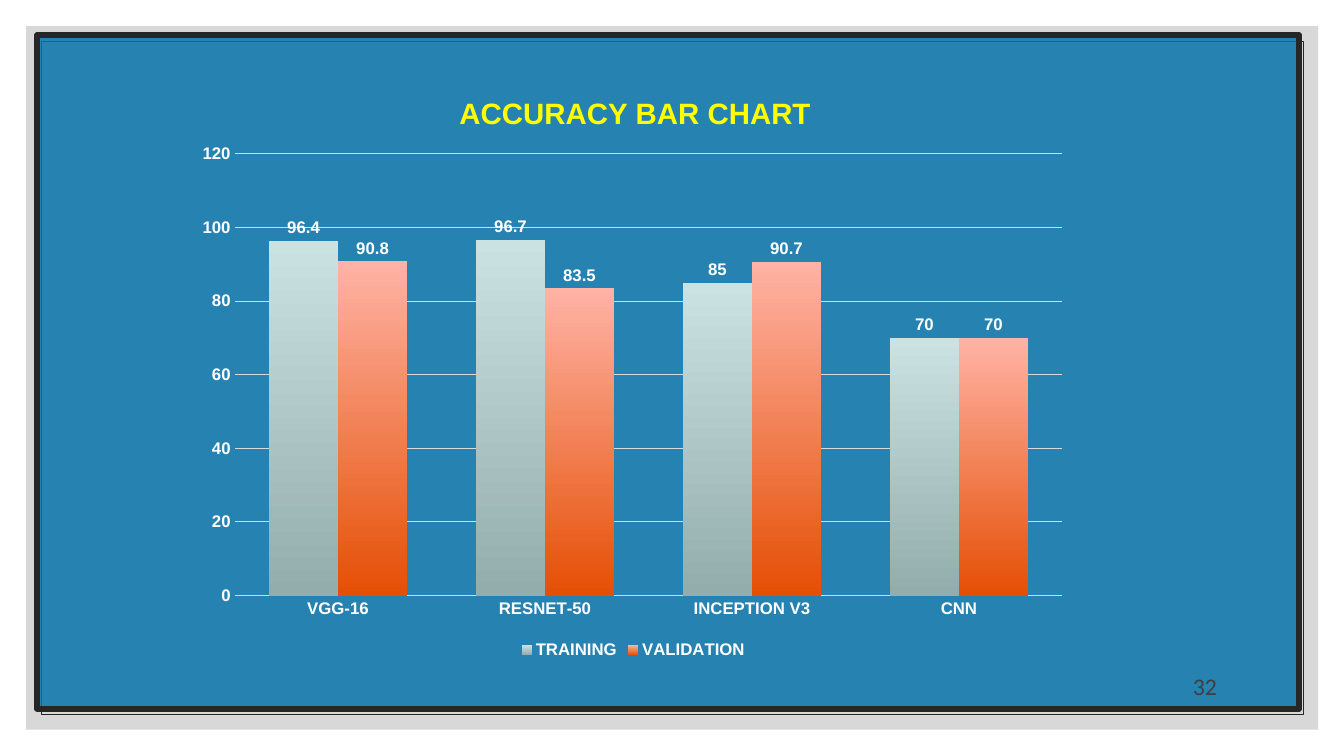
from lxml.etree import SubElement
from pptx import Presentation
from pptx.chart.data import CategoryChartData
from pptx.dml.color import RGBColor
from pptx.enum.chart import XL_CHART_TYPE, XL_LABEL_POSITION, XL_LEGEND_POSITION, XL_TICK_MARK
from pptx.enum.shapes import MSO_SHAPE
from pptx.enum.text import MSO_ANCHOR, PP_ALIGN
from pptx.oxml import parse_xml
from pptx.oxml.ns import nsdecls, qn
from pptx.util import Cm, Pt


def style(font, size, color, bold=True, name="Arial"):
    font.size = Pt(size)
    font.bold = bold
    font.name = name
    font.color.rgb = RGBColor.from_string(color)


def layout(modes, **fractions):
    values = "".join(f'<c:{key} val="{value}"/>' for key, value in fractions.items())
    return parse_xml(f'<c:layout {nsdecls("c")}><c:manualLayout>{modes}{values}</c:manualLayout></c:layout>')


deck = Presentation()
deck.slide_width = Cm(33.87)
deck.slide_height = Cm(19.05)
slide = deck.slides.add_slide(deck.slide_layouts[6])

frames = [
    (0, 0, 33.87, 19.05, "FFFFFF", 100, 0),
    (0.66, 0.66, 32.56, 17.73, "BFBFBF", 60, 0),
    (1.04, 1.04, 31.8, 16.97, None, 100, 0.75),
    (0.94, 0.89, 31.8, 16.97, "0774AB", 85, 4.25),
]
for left, top, width, height, color, opacity, border in frames:
    frame = slide.shapes.add_shape(MSO_SHAPE.RECTANGLE, Cm(left), Cm(top), Cm(width), Cm(height))
    frame.shadow.inherit = False
    if color:
        frame.fill.solid()
        frame.fill.fore_color.rgb = RGBColor.from_string(color)
        tone = frame.fill._xPr.find(qn("a:solidFill"))[0]
        SubElement(tone, qn("a:alpha"), val=str(opacity * 1000))
    else:
        frame.fill.background()
    if border:
        frame.line.color.rgb = RGBColor.from_string("262626")
        frame.line.width = Pt(border)
    else:
        frame.line.fill.background()

accuracy = CategoryChartData()
accuracy.categories = ["VGG-16", "RESNET-50", "INCEPTION V3", "CNN"]
accuracy.add_series("TRAINING", (96.4, 96.7, 85, 70))
accuracy.add_series("VALIDATION", (90.8, 83.5, 90.7, 70))
chart = slide.shapes.add_chart(
    XL_CHART_TYPE.COLUMN_CLUSTERED, Cm(4.67), Cm(1.65), Cm(22.58), Cm(15.06), accuracy
).chart
style(chart.font, 10, "000000", False)

chart.has_title = True
heading = chart.chart_title.text_frame
heading.text = "ACCURACY BAR CHART"
style(heading.paragraphs[0].runs[0].font, 21, "FFFF00")
chart.chart_title.include_in_layout = False
title_place = layout('<c:xMode val="edge"/><c:yMode val="edge"/>', x=0.3, y=0.04)
chart.chart_title._element.find(qn("c:tx")).addnext(title_place)
for old in chart.chart_title._element.findall(qn("c:layout")):
    if old is not title_place:
        chart.chart_title._element.remove(old)

plot_area = chart._chartSpace.chart.plotArea
for old in plot_area.findall(qn("c:layout")):
    plot_area.remove(old)
plot_area.insert(0, layout(
    '<c:layoutTarget val="inner"/><c:xMode val="edge"/><c:yMode val="edge"/>',
    x=0.055, y=0.148, w=0.924, h=0.739,
))

chart.has_legend = True
chart.legend.position = XL_LEGEND_POSITION.BOTTOM
chart.legend.include_in_layout = False
style(chart.legend.font, 12, "FFFFFF")

models, percent = chart.category_axis, chart.value_axis
for axis in (models, percent):
    axis.major_tick_mark = XL_TICK_MARK.NONE
    axis.minor_tick_mark = XL_TICK_MARK.NONE
    style(axis.tick_labels.font, 12, "FFFFFF")
models.format.line.color.rgb = RGBColor.from_string("D9D9D9")
models.format.line.width = Pt(1)
percent.format.line.fill.background()
percent.minimum_scale, percent.maximum_scale, percent.major_unit = 0, 120, 20
percent.has_major_gridlines = True
percent.major_gridlines.format.line.color.rgb = RGBColor.from_string("D9D9D9")
percent.major_gridlines.format.line.width = Pt(0.75)

columns = chart.plots[0]
columns.gap_width = 100
columns.overlap = 0
columns.vary_by_categories = False
gradients = [("93ACAC", "CBE2E2"), ("E54F05", "FFB3A5")]
for series, shades in zip(columns.series, gradients):
    fill = series.format.fill
    fill.gradient()
    fill.gradient_angle = 90
    for stop, shade, position in zip(fill.gradient_stops, shades, (0, 1)):
        stop.color.rgb = RGBColor.from_string(shade)
        stop.position = position
    labels = series.data_labels
    labels.show_value = True
    labels.position = XL_LABEL_POSITION.OUTSIDE_END
    style(labels.font, 12, "FFFFFF")

page_number = slide.shapes.add_textbox(Cm(28.58), Cm(16.76), Cm(2.34), Cm(1.02)).text_frame
page_number.word_wrap = True
page_number.vertical_anchor = MSO_ANCHOR.BOTTOM
page_number.text = "32"
page_number.paragraphs[0].alignment = PP_ALIGN.RIGHT
style(page_number.paragraphs[0].runs[0].font, 17, "3F3F3F", False, "Calibri")

deck.save("out.pptx")
